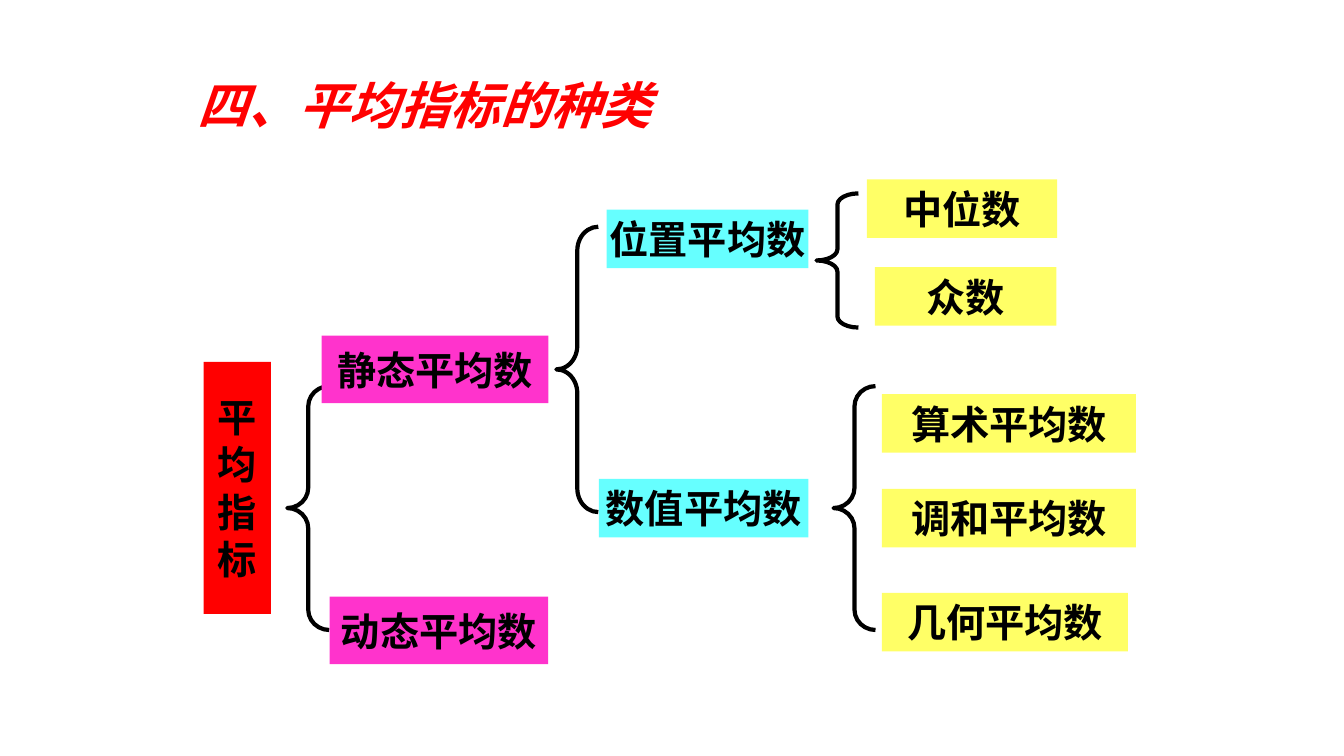
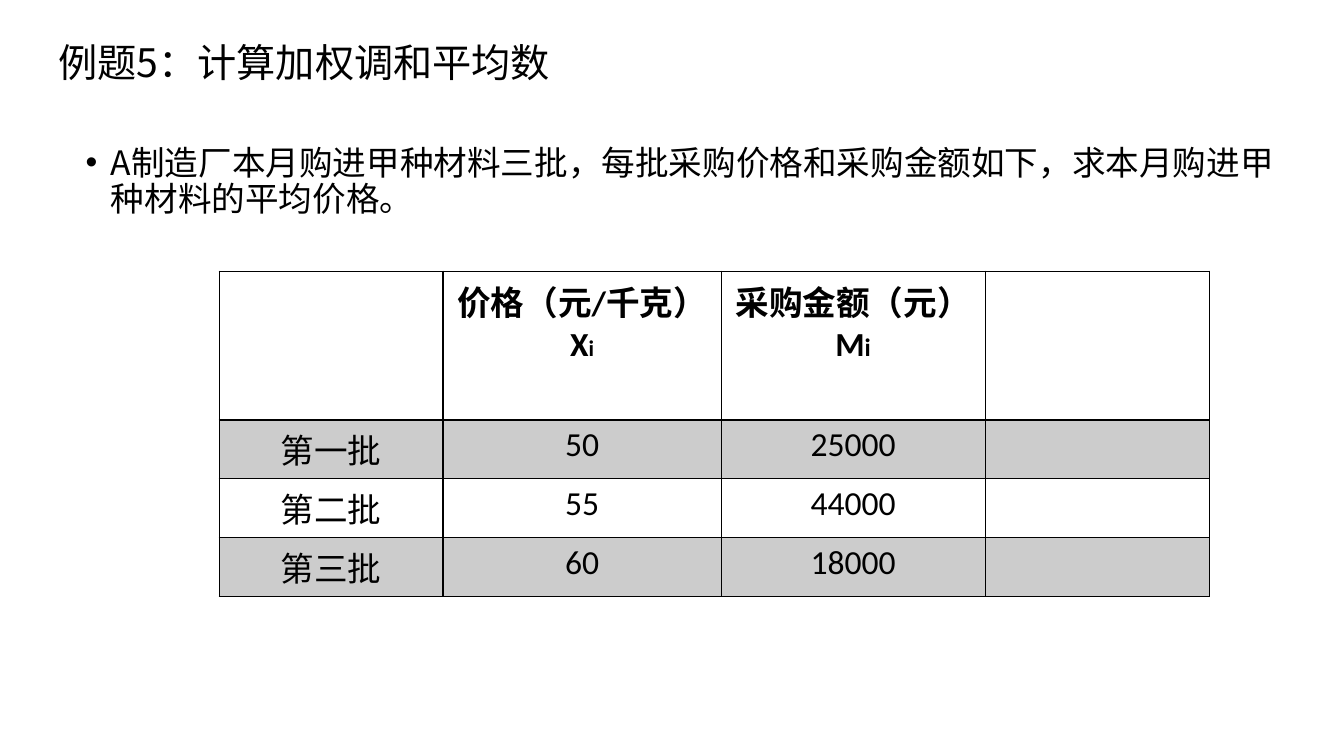
"""Build two slides on kinds of averages and a weighted harmonic mean exercise."""
from typing import NamedTuple

from lxml.etree import SubElement
from pptx import Presentation
from pptx.dml.color import RGBColor
from pptx.enum.shapes import MSO_SHAPE as Preset
from pptx.enum.text import MSO_ANCHOR as Anchor, MSO_AUTO_SIZE as AutoSize, PP_ALIGN as Align
from pptx.oxml.ns import qn
from pptx.util import Pt

COLORS = {
    "ink": "000000",
    "heading": "FF0101",
    "root": "FF0000",
    "branch": "FF33CC",
    "group": "66FFFF",
    "leaf": "FFFF66",
    "band": "CCCCCC",
}
HAN_FONT = "Noto Sans CJK SC"
DIAGRAM_FONT = "Karla"
TABLE_FONT = "Calibri"


class Box(NamedTuple):
    left: float
    top: float
    width: float
    height: float


class Node(NamedTuple):
    text: str
    level: str
    box: Box


BRACE_WIDTH = 30
BRACES = [
    Box(205.2, 275.8, BRACE_WIDTH, 174.2),
    Box(397.4, 162, BRACE_WIDTH, 203.8),
    Box(583.2, 138.2, BRACE_WIDTH, 95.8),
    Box(595.4, 275.8, BRACE_WIDTH, 174.2),
]
NODES = [
    Node("平\n均\n指\n标", "root", Box(145.4, 258.5, 48.2, 180)),
    Node("静态平均数", "branch", Box(229.7, 239.8, 162, 48.2)),
    Node("动态平均数", "branch", Box(235.4, 426.2, 156.2, 48.2)),
    Node("位置平均数", "group", Box(433.4, 149.8, 144, 41.8)),
    Node("数值平均数", "group", Box(427.7, 342, 149.8, 41.8)),
    Node("中位数", "leaf", Box(619.2, 128.2, 136, 41.8)),
    Node("众数", "leaf", Box(625, 190.8, 129.6, 41.8)),
    Node("算术平均数", "leaf", Box(630, 281.5, 181.4, 41.8)),
    Node("调和平均数", "leaf", Box(630, 349.2, 181.4, 41.8)),
    Node("几何平均数", "leaf", Box(630, 423.4, 175.7, 41.8)),
]

COLUMN_WIDTHS = [160, 198.6, 188.6, 160]
HEADER_HEIGHT, BATCH_HEIGHT = 106, 42
HEADERS = [("", "", 0), ("价格（元/千克）\nX", "i", 16), ("采购金额（元）\nM", "i", 18), ("", "", 0)]
BATCHES = [("第一批", "50", "25000", ""), ("第二批", "55", "44000", ""), ("第三批", "60", "18000", "")]


def points(box: Box) -> list:
    return [Pt(length) for length in box]


def rgb(name: str) -> RGBColor:
    return RGBColor.from_string(COLORS[name])


def write(frame, text: str, *, size: float, font: str = HAN_FONT, color: str = "ink",
          bold: bool = False, italic: bool = False, align=Align.LEFT, spacing: float = 1,
          indent: float = 0, index: str = "", index_size: float = 0) -> None:
    frame.text = text
    if index:
        frame.paragraphs[-1].add_run().text = index
    for paragraph in frame.paragraphs:
        paragraph.alignment = align
        paragraph.line_spacing = spacing
        paragraph.space_before = Pt(0)
        if indent:
            properties = paragraph._p.get_or_add_pPr()
            properties.set("marL", str(Pt(indent)))
            properties.set("indent", str(-Pt(indent)))
        for run in paragraph.runs:
            run.font.size = Pt(size)
            run.font.name = font
            run.font.bold = bold
            run.font.italic = italic
            run.font.color.rgb = rgb(color)
            SubElement(run._r.get_or_add_rPr(), qn("a:ea")).set("typeface", HAN_FONT)
    if index:
        frame.paragraphs[-1].runs[-1].font.size = Pt(index_size)


def fill_placeholder(holder, box: Box, text: str, anchor=Anchor.TOP, **style) -> None:
    holder.left, holder.top, holder.width, holder.height = points(box)
    frame = holder.text_frame
    frame.auto_size = AutoSize.NONE
    frame.word_wrap = True
    frame.vertical_anchor = anchor
    write(frame, text, **style)


def draw_brace(slide, box: Box) -> None:
    brace = slide.shapes.add_shape(Preset.LEFT_BRACE, *points(box))
    brace.adjustments[0] = box.height / box.width / 12
    brace.shadow.inherit = False
    brace.fill.background()
    brace.line.color.rgb = rgb("ink")
    brace.line.width = Pt(3)


def draw_node(slide, node: Node) -> None:
    block = slide.shapes.add_shape(Preset.RECTANGLE, *points(node.box))
    block.shadow.inherit = False
    block.fill.solid()
    block.fill.fore_color.rgb = rgb(node.level)
    block.line.fill.background()
    block.text_frame.word_wrap = False
    block.text_frame.vertical_anchor = Anchor.MIDDLE
    write(block.text_frame, node.text, size=28, font=DIAGRAM_FONT, bold=True, align=Align.CENTER)


def format_cell(cell, fill: str = "", bottom: float = 1) -> None:
    properties = cell._tc.get_or_add_tcPr()
    for side, width in (("lnL", 1), ("lnR", 1), ("lnT", 1), ("lnB", bottom)):
        border = SubElement(properties, qn(f"a:{side}"), w=str(Pt(width)))
        paint = SubElement(border, qn("a:solidFill"))
        SubElement(paint, qn("a:srgbClr"), val=COLORS["ink"])
    if fill:
        cell.fill.solid()
        cell.fill.fore_color.rgb = rgb(fill)
    else:
        cell.fill.background()


def build_kinds(deck) -> None:
    slide = deck.slides.add_slide(deck.slide_layouts[5])
    fill_placeholder(slide.shapes.title, Box(134, 49, 363, 50.4), "四、平均指标的种类",
                     size=36, font=DIAGRAM_FONT, color="heading", bold=True, italic=True)
    for brace in BRACES:
        draw_brace(slide, brace)
    for node in NODES:
        draw_node(slide, node)


def build_exercise(deck) -> None:
    slide = deck.slides.add_slide(deck.slide_layouts[1])
    fill_placeholder(slide.shapes.title, Box(34.6, 19.4, 501, 54), "例题5：计算加权调和平均数",
                     Anchor.MIDDLE, size=28, spacing=0.9)
    fill_placeholder(slide.placeholders[1], Box(54, 100.8, 879, 363.6),
                     "A制造厂本月购进甲种材料三批，每批采购价格和采购金额如下，求本月购进甲种材料的平均价格。",
                     size=24, spacing=0.9, indent=18)

    heights = [HEADER_HEIGHT] + [BATCH_HEIGHT] * len(BATCHES)
    area = Box(156.5, 193.7, sum(COLUMN_WIDTHS), sum(heights))
    purchases = slide.shapes.add_table(len(heights), len(COLUMN_WIDTHS), *points(area)).table
    for column, width in zip(purchases.columns, COLUMN_WIDTHS):
        column.width = Pt(width)
    for row, height in zip(purchases.rows, heights):
        row.height = Pt(height)

    for column, (label, index, index_size) in enumerate(HEADERS):
        cell = purchases.cell(0, column)
        format_cell(cell, bottom=2)
        write(cell.text_frame, label, size=24, font=TABLE_FONT, bold=True, align=Align.CENTER,
              index=index, index_size=index_size)
    for row, batch in enumerate(BATCHES, start=1):
        for column, value in enumerate(batch):
            cell = purchases.cell(row, column)
            format_cell(cell, fill="band" if row % 2 else "")
            write(cell.text_frame, value, size=24, font=TABLE_FONT, align=Align.CENTER)


def main() -> None:
    deck = Presentation()
    deck.slide_width, deck.slide_height = Pt(960), Pt(540)
    build_kinds(deck)
    build_exercise(deck)
    deck.save("out.pptx")


if __name__ == "__main__":
    main()
